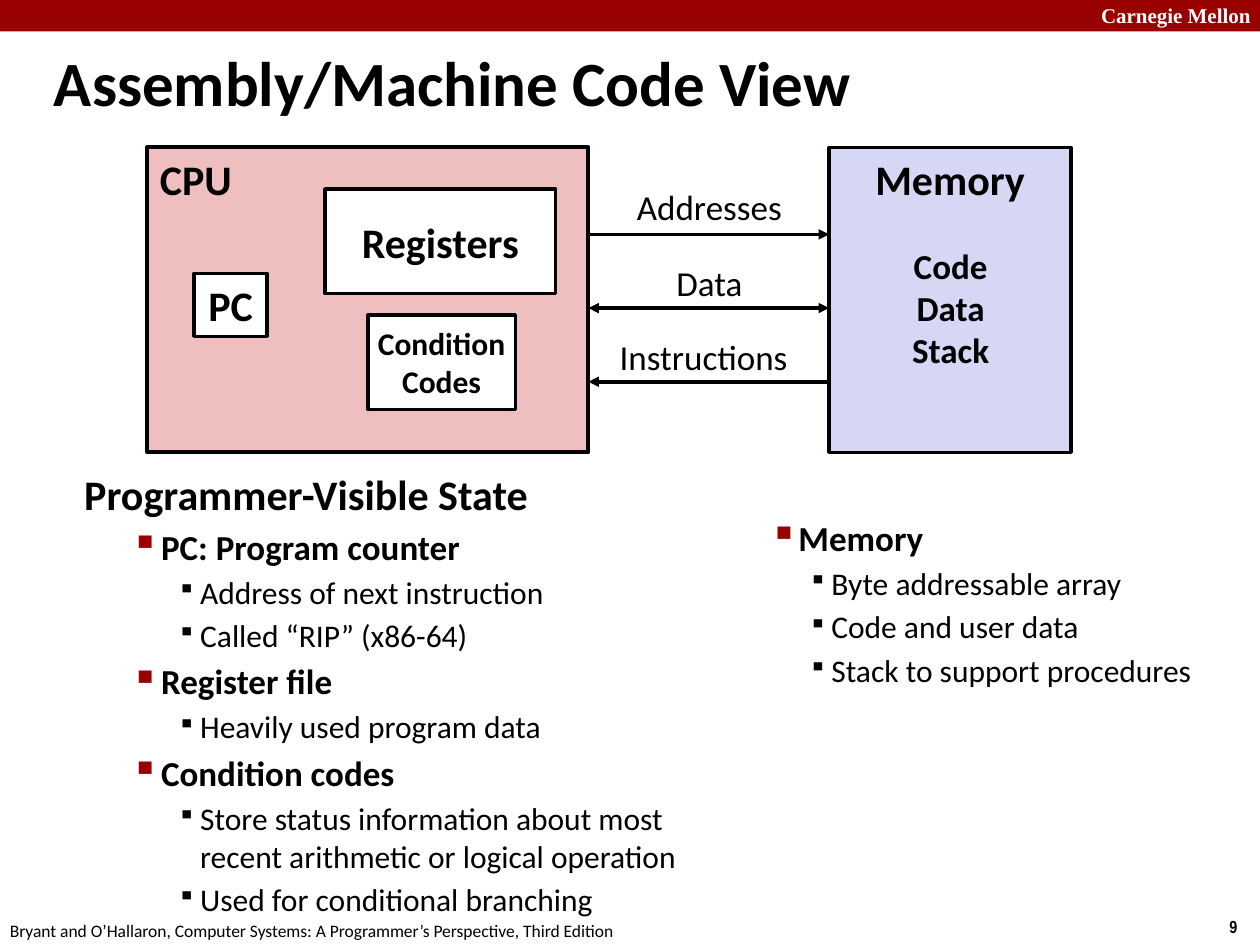
from lxml import etree
from pptx import Presentation
from pptx.dml.color import RGBColor
from pptx.enum.shapes import MSO_CONNECTOR, MSO_SHAPE
from pptx.enum.text import MSO_ANCHOR, PP_ALIGN
from pptx.oxml.ns import qn
from pptx.util import Inches, Pt

LEFT, CENTER = PP_ALIGN.LEFT, PP_ALIGN.CENTER
TOP, MIDDLE = MSO_ANCHOR.TOP, MSO_ANCHOR.MIDDLE
RECTANGLE, STRAIGHT = MSO_SHAPE.RECTANGLE, MSO_CONNECTOR.STRAIGHT

COLORS = {
    "black": "000000",
    "white": "FFFFFF",
    "red": "990000",
    "cpu": "EFBFBF",
    "memory": "D6D6F5",
}

# Outline level: text size, bold, bullet colour, bullet size in percent
LEVELS = [
    (24, True, None, None),
    (20, True, "red", 110),
    (18, False, "black", 80),
]


class SlideBuilder:
    font = "Calibri"
    space_ratio = 0.175

    def __init__(self, slide):
        self.slide = slide

    def color(self, name):
        return RGBColor.from_string(COLORS[name])

    def format_runs(self, paragraph, size, bold, color="black", font=None):
        for run in paragraph.runs:
            run.font.name = font or self.font
            run.font.size = Pt(size)
            run.font.bold = bold
            run.font.color.rgb = self.color(color)

    def fill_text(self, shape, text, size, bold, color="black", font=None,
                  align=LEFT, anchor=TOP, wrap=True):
        frame = shape.text_frame
        frame.text = text
        frame.word_wrap = wrap
        frame.vertical_anchor = anchor
        for paragraph in frame.paragraphs:
            paragraph.alignment = align
            self.format_runs(paragraph, size, bold, color, font)

    def text(self, box, text, size, bold=False, **style):
        shape = self.slide.shapes.add_textbox(*map(Inches, box))
        self.fill_text(shape, text, size, bold, **style)

    def block(self, box, fill, text="", size=24, line=2, **style):
        shape = self.slide.shapes.add_shape(RECTANGLE, *map(Inches, box))
        shape.shadow.inherit = False
        shape.fill.solid()
        shape.fill.fore_color.rgb = self.color(fill)
        if line:
            shape.line.color.rgb = self.color("black")
            shape.line.width = Pt(line)
        else:
            shape.line.fill.background()
        if text:
            self.fill_text(shape, text, size, True, **style)

    def arrow(self, start, end, y, ends):
        connector = self.slide.shapes.add_connector(
            STRAIGHT, Inches(start), Inches(y), Inches(end), Inches(y))
        connector.line.color.rgb = self.color("black")
        connector.line.width = Pt(2)
        line = connector.line._get_or_add_ln()
        for end_tag in ends:
            etree.SubElement(line, qn(end_tag), type="triangle")
        etree.SubElement(connector._element.spPr, qn("a:effectLst"))

    def bullet(self, paragraph, color, percent, left, hanging):
        props = paragraph._p.get_or_add_pPr()
        props.set("marL", str(Inches(left)))
        props.set("indent", str(-Inches(hanging)))
        bullet_color = etree.SubElement(props, qn("a:buClr"))
        etree.SubElement(bullet_color, qn("a:srgbClr"), val=COLORS[color])
        etree.SubElement(props, qn("a:buSzPct"), val=str(percent * 1000))
        etree.SubElement(props, qn("a:buChar"), char="▪")

    def outline(self, box, items, indents):
        frame = self.slide.shapes.add_textbox(*map(Inches, box)).text_frame
        frame.word_wrap = True
        frame.text = "\n".join(text for _, text in items)
        for index, (level, _) in enumerate(items):
            paragraph = frame.paragraphs[index]
            size, bold, bullet_color, percent = LEVELS[level]
            paragraph.level = level
            if bullet_color:
                self.bullet(paragraph, bullet_color, percent, *indents[level])
            if index:
                paragraph.space_before = Pt(size * self.space_ratio)
            self.format_runs(paragraph, size, bold)


def main():
    deck = Presentation()
    deck.slide_width, deck.slide_height = Inches(10), Inches(7.5)
    page = SlideBuilder(deck.slides.add_slide(deck.slide_layouts[6]))

    # Header band, footer and title
    page.block((0, 0, 10, 0.25), "red", line=None)
    page.text((8.64, -0.03, 1.43, 0.3), "Carnegie Mellon", 12, True,
              color="white", font="Times New Roman")
    page.text((9.66, 7.22, 0.34, 0.27), "9", 10, True,
              font="Arial Narrow", wrap=False)
    page.text((-0.02, 7.25, 5.08, 0.27),
              "Bryant and O’Hallaron, Computer Systems: "
              "A Programmer’s Perspective, Third Edition", 10, wrap=False)
    page.text((0.33, 0.33, 7.9, 0.63), "Assembly/Machine Code View", 36, True,
              anchor=MIDDLE)

    # CPU and its parts
    cpu_left, cpu_width, memory_left = 1.17, 3.5, 6.58
    cpu_right = cpu_left + cpu_width
    diagram_top, diagram_height = 1.17, 2.42
    page.block((cpu_left, diagram_top, cpu_width, diagram_height), "cpu",
               "CPU", line=2.25)
    cpu_parts = [
        ((1.54, 2.17, 0.58, 0.5), "PC", 24),
        ((2.58, 1.5, 1.83, 0.83), "Registers", 24),
        ((2.92, 2.5, 1.17, 0.75), "Condition\nCodes", 18),
    ]
    for box, label, size in cpu_parts:
        page.block(box, "white", label, size, align=CENTER, anchor=MIDDLE,
                   wrap=False)

    # Memory and its contents
    page.block((memory_left, diagram_top, 1.92, diagram_height), "memory",
               "Memory", align=CENTER, wrap=False)
    page.text((6.92, 1.89, 1.25, 1.11), "Code\nData\nStack", 20, True,
              align=CENTER)

    # Traffic between CPU and memory
    to_cpu, to_memory = "a:headEnd", "a:tailEnd"
    traffic = [
        ("Addresses", 1.42, 1.92, [to_memory]),
        ("Data", 2.03, 1.92, [to_cpu, to_memory]),
        ("Instructions", 2.61, 1.83, [to_cpu]),
    ]
    for row, (label, label_top, label_width, ends) in enumerate(traffic):
        page.arrow(cpu_right, memory_left, 1.86 + row * 0.585, ends)
        page.text((cpu_right, label_top, label_width, 0.43), label, 20,
                  align=CENTER)

    # Programmer-visible state
    page.outline((0.57, 3.67, 5.31, 3.38), [
        (0, "Programmer-Visible State"),
        (1, "PC: Program counter"),
        (2, "Address of next instruction"),
        (2, "Called “RIP” (x86-64)"),
        (1, "Register file"),
        (2, "Heavily used program data"),
        (1, "Condition codes"),
        (2, "Store status information about most recent arithmetic "
            "or logical operation"),
        (2, "Used for conditional branching"),
    ], {1: (0.61, 0.24), 2: (0.92, 0.18)})
    page.outline((5.88, 4.05, 3.96, 1.72), [
        (1, "Memory"),
        (2, "Byte addressable array"),
        (2, "Code and user data"),
        (2, "Stack to support procedures"),
    ], {1: (0.32, 0.19), 2: (0.62, 0.18)})

    deck.save("out.pptx")


if __name__ == "__main__":
    main()
